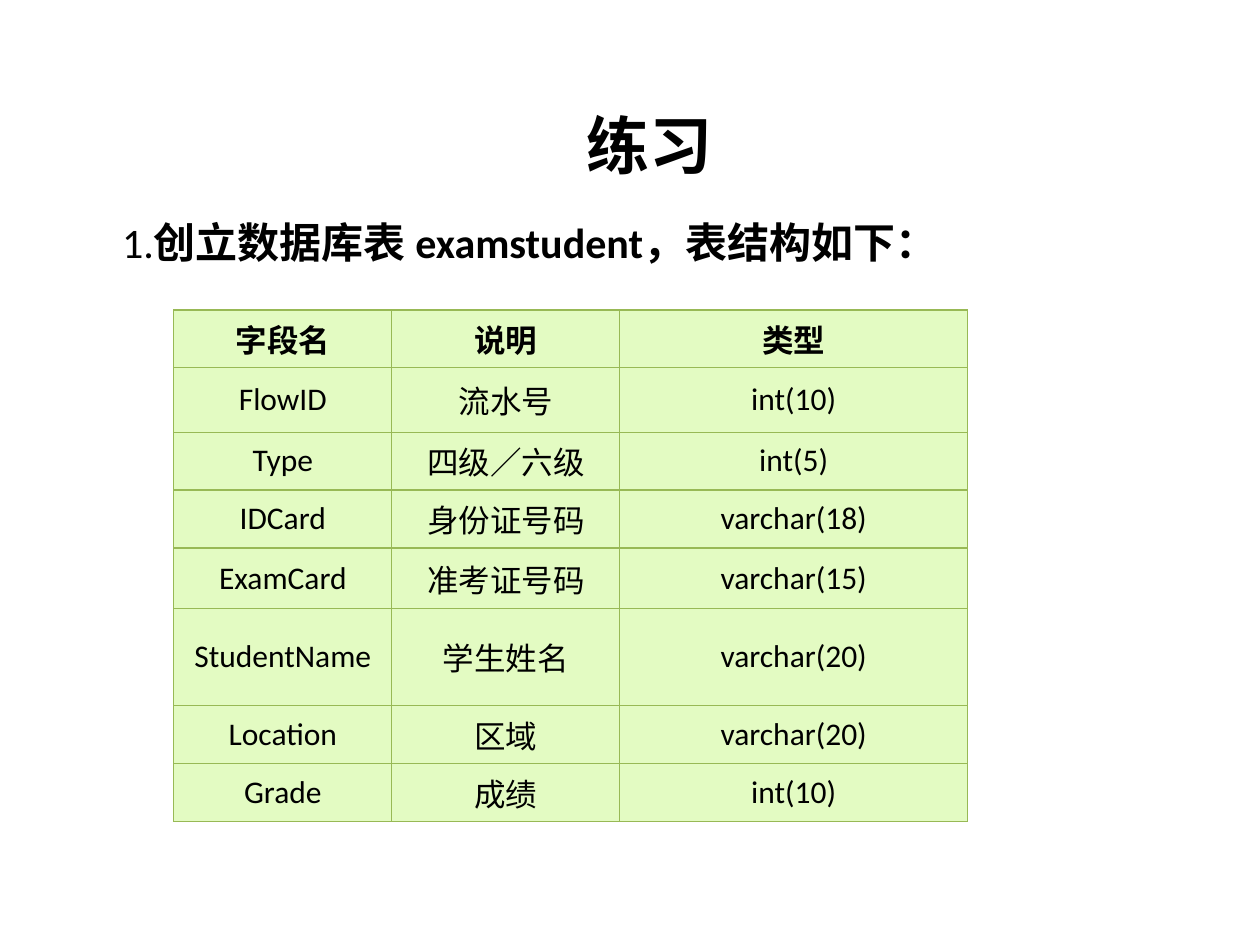
from lxml import etree
from pptx import Presentation
from pptx import util as u
from pptx.dml.color import RGBColor
from pptx.enum import text
from pptx.oxml.ns import qn

BLACK = RGBColor(0x00, 0x00, 0x00)
PALE_GREEN = RGBColor(0xE3, 0xFB, 0xC2)
BORDER_GREEN = RGBColor(0x98, 0xB9, 0x55)
FONT = "Calibri"
HANGING = u.Inches(0.38)

COLUMNS = [1.73, 1.81, 2.76]
ROWS = [0.46, 0.51, 0.46, 0.46, 0.48, 0.77, 0.46, 0.46]
FIELDS = [
    ("字段名", "说明", "类型"),
    ("FlowID", "流水号", "int(10)"),
    ("Type", "四级／六级", "int(5)"),
    ("IDCard", "身份证号码", "varchar(18)"),
    ("ExamCard", "准考证号码", "varchar(15)"),
    ("StudentName", "学生姓名", "varchar(20)"),
    ("Location", "区域", "varchar(20)"),
    ("Grade", "成绩", "int(10)"),
]


def add_run(p, words, size, bold=False):
    r = p.add_run()
    r.text = words
    r.font.name = FONT
    r.font.size = u.Pt(size)
    r.font.bold = bold
    r.font.color.rgb = BLACK


def add_line(s, box, runs, size, align, anchor):
    """Place one paragraph of (words, bold) runs in a text box."""
    tf = s.shapes.add_textbox(*map(u.Inches, box)).text_frame
    tf.word_wrap = True
    tf.vertical_anchor = anchor
    p = tf.paragraphs[0]
    p.alignment = align
    for words, bold in runs:
        add_run(p, words, size, bold)


def set_borders(cell):
    tc_pr = cell._tc.get_or_add_tcPr()
    for i, side in enumerate(("lnL", "lnR", "lnT", "lnB")):
        ln = etree.Element(qn(f"a:{side}"), w=str(u.Pt(0.75)))
        fill = etree.SubElement(ln, qn("a:solidFill"))
        etree.SubElement(fill, qn("a:srgbClr"), val=str(BORDER_GREEN))
        tc_pr.insert(i, ln)


def fill_cell(cell, words, bold):
    cell.fill.solid()
    cell.fill.fore_color.rgb = PALE_GREEN
    set_borders(cell)
    cell.vertical_anchor = text.MSO_ANCHOR.MIDDLE
    p = cell.text_frame.paragraphs[0]
    p.alignment = text.PP_ALIGN.CENTER
    p_pr = p._p.get_or_add_pPr()
    p_pr.set("marL", str(HANGING))
    p_pr.set("indent", str(-HANGING))
    add_run(p, words, 18, bold)


def add_field_table(s, left, top):
    size = (len(ROWS), len(COLUMNS))
    box = map(u.Inches, (left, top, sum(COLUMNS), sum(ROWS)))
    table = s.shapes.add_table(*size, *box).table
    for column, width in zip(table.columns, COLUMNS):
        column.width = u.Inches(width)
    for i, (row, height) in enumerate(zip(table.rows, ROWS)):
        row.height = u.Inches(height)
        for cell, words in zip(row.cells, FIELDS[i]):
            fill_cell(cell, words, bold=i == 0)


def main():
    prs = Presentation()
    prs.slide_width, prs.slide_height = u.Inches(10), u.Inches(7.5)
    s = prs.slides.add_slide(prs.slide_layouts[6])
    add_line(s, (4.29, 0.61, 1.73, 1.07), [("练习", True)], 36,
             text.PP_ALIGN.CENTER, text.MSO_ANCHOR.MIDDLE)
    add_field_table(s, 1.38, 2.46)
    add_line(s, (0.87, 1.67, 7.48, 0.5),
             [("1.", False), ("创立数据库表 examstudent，表结构如下：", True)], 24,
             text.PP_ALIGN.LEFT, text.MSO_ANCHOR.TOP)
    prs.save("out.pptx")


if __name__ == "__main__":
    main()
